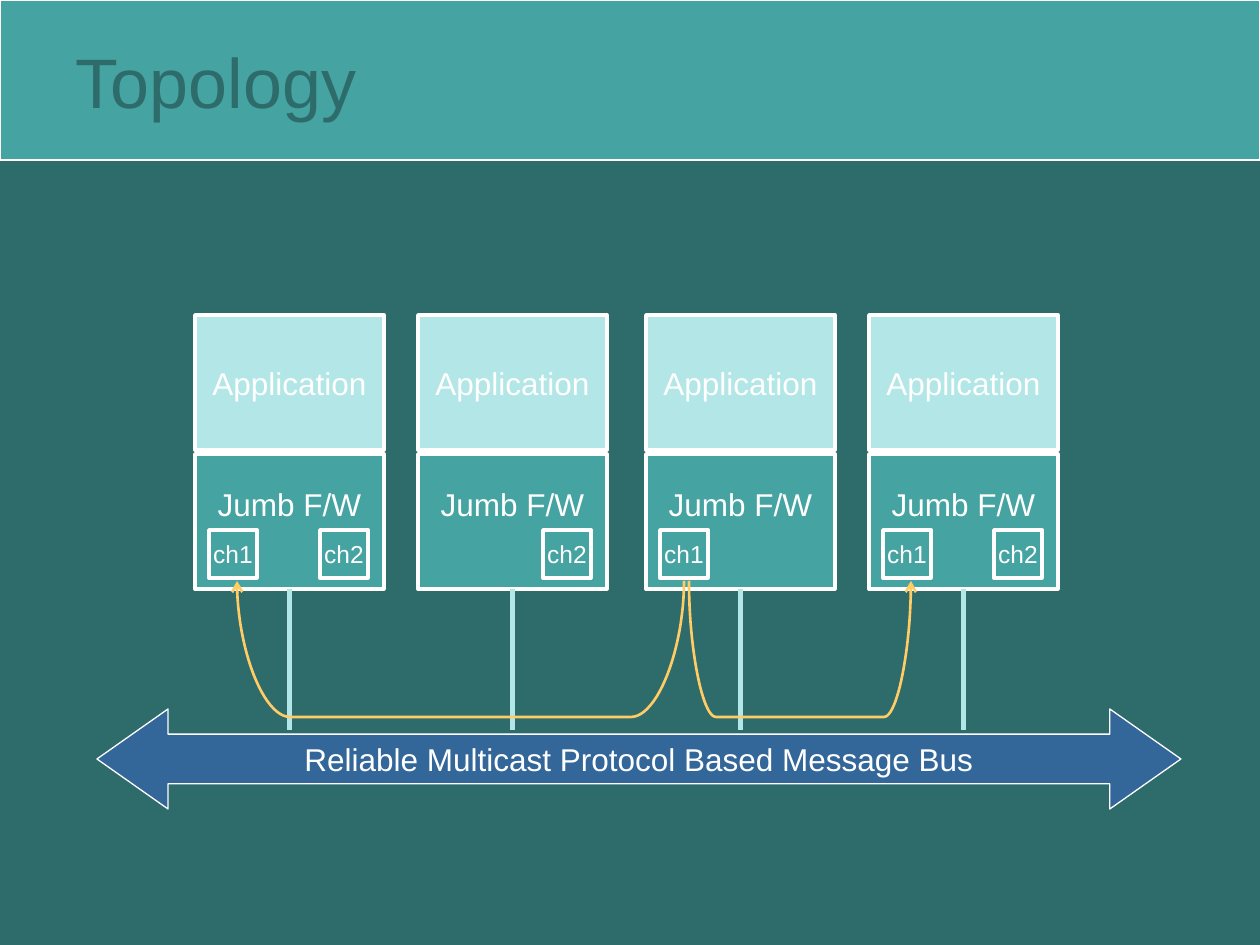
from pptx import Presentation
from pptx.dml.color import RGBColor
from pptx.enum.shapes import MSO_CONNECTOR as Connector, MSO_SHAPE as Shape
from pptx.enum.text import MSO_ANCHOR as Anchor, PP_ALIGN as Align
from pptx.oxml.ns import qn
from pptx.util import Emu, Pt
from lxml.etree import SubElement

EMU_PER_PX = 914400 / 126
DEEP, TEAL, PALE = "2E6B6B", "45A3A1", "B3E6E6"
WHITE, BLUE, GOLD = "FFFFFF", "336699", "FFCC66"

NODE_WIDTH, NODE_HEIGHT = 189, 135
APPLICATION_TOP, FRAMEWORK_TOP = 315, 454
CHANNEL_TOP, CHANNEL_SIZE = 530, 48
CHANNEL_OFFSETS = {"ch1": 14, "ch2": 125}
STEM_BOTTOM = 730
ROUTE_TOP, ROUTE_BOTTOM = 581, 717
NODES = [
    (195, ["ch1", "ch2"]),
    (418, ["ch2"]),
    (646, ["ch1"]),
    (869, ["ch1", "ch2"]),
]
ROUTES = [(684, 237, 53), (689, 911, 27)]


def px(value):
    return Emu(round(value * EMU_PER_PX))


def color(value):
    return RGBColor.from_string(value)


def set_values(target, values):
    for name, value in values.items():
        setattr(target, name, value)


def set_line(shape, value, width):
    shape.line.color.rgb = color(value)
    shape.line.width = Pt(width)


def write(box, text, size, ink=WHITE, align=Align.CENTER, wrap=False, bottom=6):
    frame = box.text_frame
    set_values(frame, {
        "word_wrap": wrap,
        "vertical_anchor": Anchor.MIDDLE,
        "margin_left": px(13),
        "margin_right": px(13),
        "margin_top": px(6),
        "margin_bottom": px(bottom),
    })
    para = frame.paragraphs[0]
    para.alignment = align
    span = para.add_run()
    span.text = text
    set_values(span.font, {"name": "Arial", "size": Pt(size)})
    span.font.color.rgb = color(ink)


def add_block(page, kind, bounds, fill, line_width):
    block = page.shapes.add_shape(kind, *map(px, bounds))
    block.shadow.inherit = False
    block.fill.solid()
    block.fill.fore_color.rgb = color(fill)
    set_line(block, WHITE, line_width)
    return block


def add_title(page, text):
    add_block(page, Shape.RECTANGLE, (0, 0, 1260, 160), TEAL, 0.75)
    box = page.shapes.add_textbox(*map(px, (63, 26, 1118, 110)))
    write(box, text, 40, DEEP, Align.LEFT, True)


def add_node(page, left, channels):
    framework = add_block(
        page, Shape.RECTANGLE, (left, FRAMEWORK_TOP, NODE_WIDTH, NODE_HEIGHT), TEAL, 2)
    write(framework, "Jumb F/W", 18, bottom=42)
    application = add_block(
        page, Shape.RECTANGLE, (left, APPLICATION_TOP, NODE_WIDTH, NODE_HEIGHT), PALE, 2)
    write(application, "Application", 18)
    for name in channels:
        bounds = (left + CHANNEL_OFFSETS[name], CHANNEL_TOP, CHANNEL_SIZE, CHANNEL_SIZE)
        channel = add_block(page, Shape.RECTANGLE, bounds, TEAL, 2)
        write(channel, name, 14)
    return framework


def add_bus(page):
    bus = add_block(page, Shape.LEFT_RIGHT_ARROW, (97, 709, 1084, 100), BLUE, 0.75)
    bus.adjustments[0] = 0.497
    bus.adjustments[1] = 0.711
    write(bus, "Reliable Multicast Protocol Based Message Bus", 18)


def add_stem(page, framework):
    middle = framework.left + framework.width // 2
    bottom = framework.top + framework.height
    stem = page.shapes.add_connector(
        Connector.STRAIGHT, middle, bottom, middle, px(STEM_BOTTOM))
    stem.begin_connect(framework, 2)
    set_line(stem, PALE, 3)
    SubElement(stem.element.spPr, qn("a:effectLst"))


def corner_points(x, reach, steps=24):
    middle = (ROUTE_TOP + ROUTE_BOTTOM) / 2
    controls = [(x, ROUTE_TOP), (x, middle),
                (x + reach / 2, ROUTE_BOTTOM), (x + reach, ROUTE_BOTTOM)]
    points = []
    for step in range(steps + 1):
        t = step / steps
        weights = [(1 - t) ** 3, 3 * t * (1 - t) ** 2, 3 * t ** 2 * (1 - t), t ** 3]
        points.append(tuple(
            px(sum(weight * control[axis] for weight, control in zip(weights, controls)))
            for axis in (0, 1)))
    return points


def add_route(page, start, end, radius):
    reach = radius if end > start else -radius
    points = corner_points(start, reach) + corner_points(end, -reach)[::-1]
    builder = page.shapes.build_freeform(*points[0])
    builder.add_line_segments(points[1:], close=False)
    route = builder.convert_to_shape()
    route.shadow.inherit = False
    route.fill.background()
    set_line(route, GOLD, 1.5)
    SubElement(route.element.spPr.find(qn("a:ln")), qn("a:tailEnd"), type="arrow")


def main():
    deck = Presentation()
    set_values(deck, {"slide_width": px(1260), "slide_height": px(945)})
    page = deck.slides.add_slide(deck.slide_layouts[6])
    page.background.fill.solid()
    page.background.fill.fore_color.rgb = color(DEEP)
    add_title(page, "Topology")
    frameworks = [add_node(page, left, channels) for left, channels in NODES]
    add_bus(page)
    for framework in frameworks:
        add_stem(page, framework)
    for start, end, radius in ROUTES:
        add_route(page, start, end, radius)
    deck.save("out.pptx")


if __name__ == "__main__":
    main()
